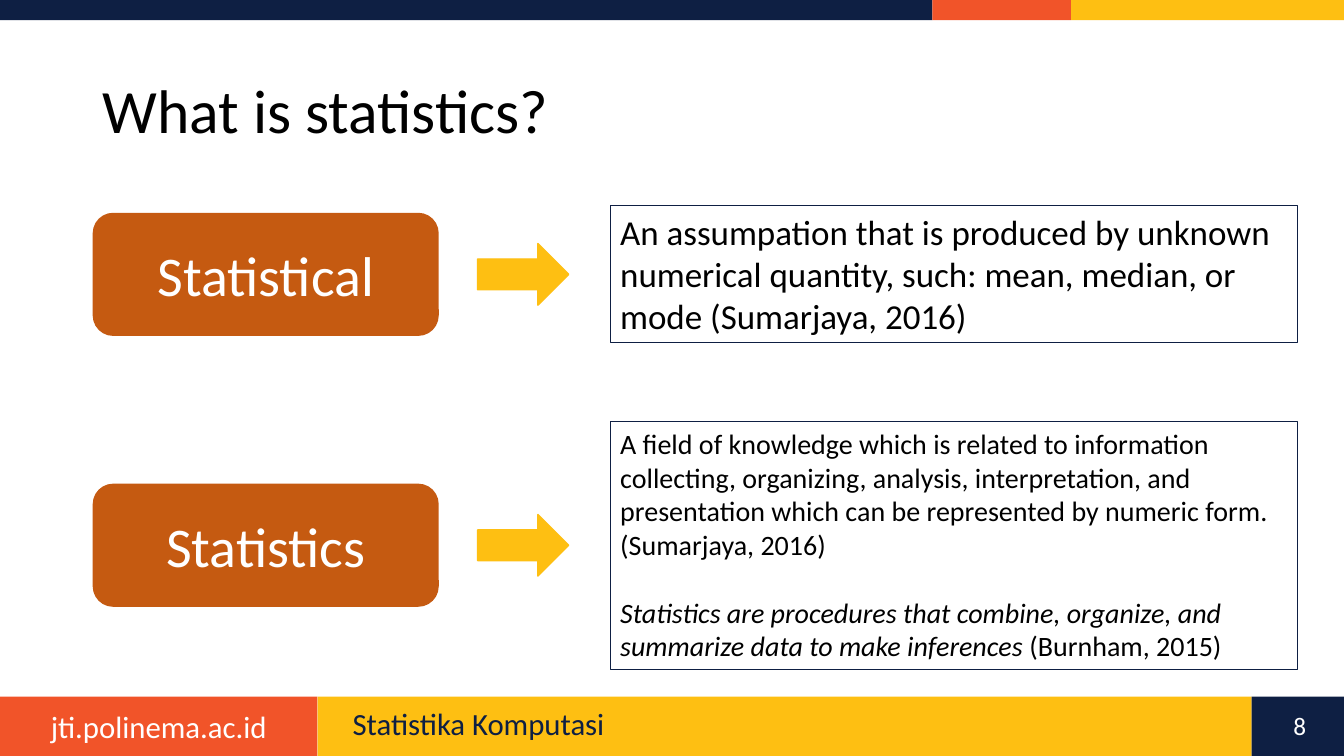
from dataclasses import dataclass

from pptx import Presentation
from pptx.dml.color import RGBColor
from pptx.enum.shapes import MSO_SHAPE as Shape
from pptx.enum.text import MSO_ANCHOR as Anchor, MSO_AUTO_SIZE as AutoSize, PP_ALIGN as Align
from pptx.util import Pt


@dataclass(frozen=True)
class Theme:
    font: str = "Calibri"
    navy: str = "0E1F43"
    orange: str = "F15429"
    yellow: str = "FEBF12"
    brown: str = "C55A11"
    white: str = "FFFFFF"
    black: str = "000000"
    title: float = 44
    term: float = 40
    lead: float = 25
    footer: float = 22
    detail: float = 20
    number: float = 18


class SlideBuilder:
    """Draws on one page; every box is (left, top, width, height) in points."""

    def __init__(self, page, theme):
        self.page, self.theme = page, theme

    def shape(self, kind, box, fill=None, line=None, line_width=1):
        shape = self.page.shapes.add_shape(kind, *map(Pt, box))
        shape.shadow.inherit = False
        if fill:
            shape.fill.solid()
            shape.fill.fore_color.rgb = RGBColor.from_string(fill)
        else:
            shape.fill.background()
        if line:
            shape.line.color.rgb = RGBColor.from_string(line)
            shape.line.width = Pt(line_width)
        else:
            shape.line.fill.background()
        return shape

    def set_text(self, shape, paragraphs, size, color, anchor=Anchor.MIDDLE, **para_format):
        """Fill a shape; each paragraph is a list of (text, italic) spans."""
        frame = shape.text_frame
        frame_format = {"word_wrap": True, "auto_size": AutoSize.NONE, "vertical_anchor": anchor}
        for name, value in frame_format.items():
            setattr(frame, name, value)
        for index, spans in enumerate(paragraphs):
            para = frame.add_paragraph() if index else frame.paragraphs[0]
            for name, value in para_format.items():
                setattr(para, name, value)
            if index:
                para.space_before = Pt(size * 1.22)
            for text, italic in spans:
                span = para.add_run()
                span.text = text
                font_format = {"name": self.theme.font, "size": Pt(size), "italic": italic}
                for name, value in font_format.items():
                    setattr(span.font, name, value)
                span.font.color.rgb = RGBColor.from_string(color)

    def title(self, text, box):
        holder = self.page.shapes.title
        for name, value in zip(("left", "top", "width", "height"), box):
            setattr(holder, name, Pt(value))
        self.set_text(holder, [[(text, False)]], self.theme.title, self.theme.black,
                      alignment=Align.LEFT, line_spacing=0.9)

    def band(self, top, height, parts):
        """Lay (width, color) parts side by side from the left edge."""
        left = 0
        for width, color in parts:
            self.shape(Shape.RECTANGLE, (left, top, width, height), color)
            left += width

    def label(self, text, box, size, color, **para_format):
        label = self.page.shapes.add_textbox(*map(Pt, box))
        self.set_text(label, [[(text, False)]], size, color, **para_format)

    def term(self, text, box):
        card = self.shape(Shape.ROUNDED_RECTANGLE, box, self.theme.brown)
        self.set_text(card, [[(text, False)]], self.theme.term, self.theme.white,
                      alignment=Align.CENTER)

    def arrow(self, box):
        self.shape(Shape.RIGHT_ARROW, box, self.theme.yellow, self.theme.yellow)

    def definition(self, paragraphs, box, size):
        card = self.shape(Shape.RECTANGLE, box, line=self.theme.navy, line_width=0.75)
        self.set_text(card, paragraphs, size, self.theme.black, Anchor.TOP, alignment=Align.LEFT)


def main():
    theme = Theme()
    deck = Presentation()
    deck.slide_width, deck.slide_height = Pt(960), Pt(540)
    builder = SlideBuilder(deck.slides.add_slide(deck.slide_layouts[5]), theme)

    builder.band(0, 14.4, [(666, theme.navy), (99, theme.orange), (195, theme.yellow)])
    builder.band(497.5, 42.5, [(226.8, theme.orange), (667.2, theme.yellow), (66, theme.navy)])
    builder.label("jti.polinema.ac.id", (0, 502, 226.8, 34), theme.footer, theme.white,
                  alignment=Align.CENTER)
    builder.label("Statistika Komputasi", (244.8, 504, 629.3, 28.8), theme.footer, theme.navy,
                  line_spacing=0.9)
    builder.label("8", (906.5, 504, 44, 28.8), theme.number, theme.white,
                  alignment=Align.CENTER)
    builder.title("What is statistics?", (66.2, 28.8, 737.3, 104.4))

    lead = [[("An assumpation that is produced by unknown numerical quantity, "
              "such: mean, median, or mode (Sumarjaya, 2016)", False)]]
    detail = [
        [("A field of knowledge which is related to information collecting, organizing, "
          "analysis, interpretation, and presentation which can be represented by "
          "numeric form. (Sumarjaya, 2016)", False)],
        [("Statistics are procedures that combine, organize, and summarize data "
          "to make inferences ", True), ("(Burnham, 2015)", False)],
    ]
    rows = [
        ("Statistical", 152, lead, 146.8, 98.2, theme.lead),
        ("Statistics", 345.5, detail, 301, 177.2, theme.detail),
    ]
    for term, term_top, paragraphs, top, height, size in rows:
        builder.term(term, (66.2, term_top, 247.2, 88))
        builder.arrow((341.2, term_top + 22, 65, 44))
        builder.definition(paragraphs, (435.9, top, 491, height), size)

    deck.save("out.pptx")


if __name__ == "__main__":
    main()
